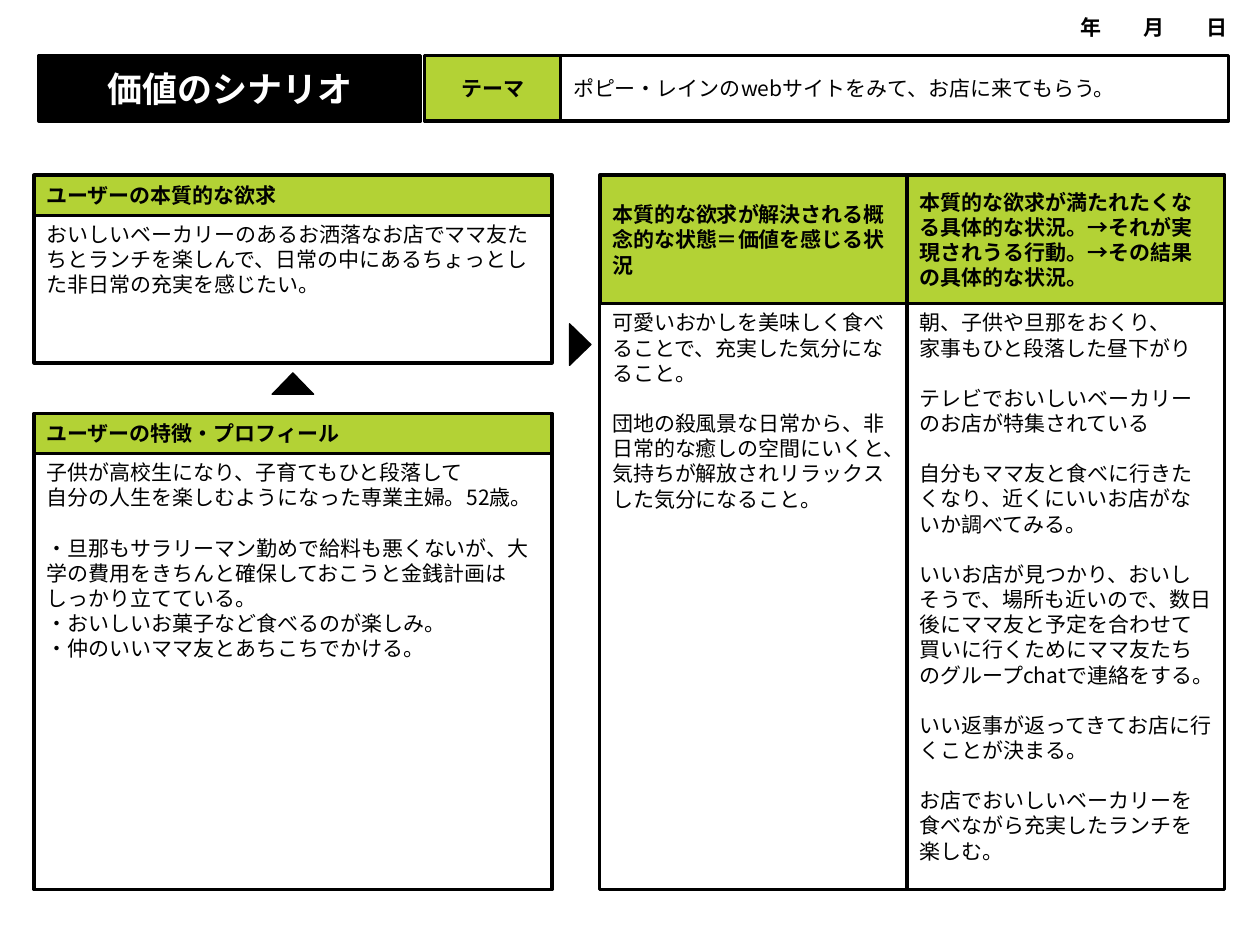
from dataclasses import dataclass

from pptx import Presentation
from pptx.dml.color import RGBColor
from pptx.enum.shapes import MSO_SHAPE as Kind
from pptx.enum.text import MSO_ANCHOR as Anchor, PP_ALIGN as Align
from pptx.util import Emu, Pt

SCALE = 9144
FONT = "Noto Sans CJK JP"
BLACK = RGBColor(0x00, 0x00, 0x00)
WHITE = RGBColor(0xFF, 0xFF, 0xFF)
LIME = RGBColor(0xB3, 0xD2, 0x35)
TOP, END = 139, 706
BAR_TOP, BAR_TALL = 44, 52
LINE_GAP = 14.3


@dataclass(frozen=True)
class Box:
    left: int
    top: int
    wide: int
    tall: int

    def emu(self) -> list[Emu]:
        return [Emu(n * SCALE) for n in (self.left, self.top, self.wide, self.tall)]


@dataclass(frozen=True)
class Panel:
    left: int
    top: int
    head_wide: int
    head_tall: int
    body_wide: int
    end: int
    title: str
    body: str


@dataclass(frozen=True)
class Label:
    left: int
    wide: int
    text: str
    fill: RGBColor
    color: RGBColor = BLACK
    size: int = 12
    bold: bool = True
    align: Align = Align.CENTER


@dataclass(frozen=True)
class Mark:
    box: Box
    turn: int


def style(run, *, size: int, bold: bool, color: RGBColor, track: int = 0) -> None:
    font = run.font
    font.name, font.size, font.bold = FONT, Pt(size), bold
    font.color.rgb = color
    props = run._r.get_or_add_rPr()
    east = props.makeelement(
        "{http://schemas.openxmlformats.org/drawingml/2006/main}ea", {"typeface": FONT}
    )
    props.find("{*}latin").addnext(east)
    if track:
        props.set("spc", str(track * 100))


def write(shape, text: str, *, size: int = 12, bold: bool = False,
          color: RGBColor = BLACK, align: Align = Align.LEFT,
          anchor: Anchor = Anchor.MIDDLE, track: int = 0) -> None:
    frame = shape.text_frame
    frame.word_wrap = True
    frame.vertical_anchor = anchor
    para = frame.paragraphs[0]
    first = True
    for block in text.split("\n\n"):
        for row, line in enumerate(block.split("\n")):
            if not first:
                para = frame.add_paragraph()
            para.alignment = align
            para.space_before = Pt(0 if first or row else LINE_GAP)
            first = False
            parts = [(line[:-1], track), (line[-1], 0)] if track else [(line, 0)]
            for part, space in parts:
                run = para.add_run()
                run.text = part
                style(run, size=size, bold=bold, color=color, track=space)


def draw(slide, box: Box, fill: RGBColor, kind: Kind = Kind.RECTANGLE, edge: float = 2):
    shape = slide.shapes.add_shape(kind, *box.emu())
    shape.shadow.inherit = False
    shape.fill.solid()
    shape.fill.fore_color.rgb = fill
    shape.line.color.rgb = BLACK
    shape.line.width = Pt(edge)
    return shape


def add_panel(slide, panel: Panel) -> None:
    low = panel.top + panel.head_tall
    body = draw(slide, Box(panel.left, low, panel.body_wide, panel.end - low), WHITE)
    write(body, panel.body, anchor=Anchor.TOP)
    head = draw(slide, Box(panel.left, panel.top, panel.head_wide, panel.head_tall), LIME)
    write(head, panel.title, bold=True)


def add_label(slide, label: Label) -> None:
    shape = draw(slide, Box(label.left, BAR_TOP, label.wide, BAR_TALL), label.fill)
    write(shape, label.text, size=label.size, bold=label.bold,
          color=label.color, align=label.align)


def add_mark(slide, mark: Mark) -> None:
    shape = draw(slide, mark.box, BLACK, Kind.ISOSCELES_TRIANGLE, 0.75)
    shape.rotation = mark.turn


LABELS = [
    Label(31, 303, "価値のシナリオ", BLACK, WHITE, 20),
    Label(445, 530, "ポピー・レインのwebサイトをみて、お店に来てもらう。", WHITE,
          bold=False, align=Align.LEFT),
    Label(337, 108, "テーマ", LIME),
]

PANELS = [
    Panel(27, TOP, 411, 32, 411, 288, "ユーザーの本質的な欲求",
          "おいしいベーカリーのあるお洒落なお店でママ友たちとランチを楽しんで、"
          "日常の中にあるちょっとした非日常の充実を感じたい。"),
    Panel(476, TOP, 252, 102, 244, END,
          "本質的な欲求が解決される概念的な状態＝価値を感じる状況",
          "可愛いおかしを美味しく食べることで、充実した気分になること。\n\n"
          "団地の殺風景な日常から、非日常的な癒しの空間にいくと、"
          "気持ちが解放されリラックスした気分になること。"),
    Panel(720, TOP, 252, 102, 252, END,
          "本質的な欲求が満たれたくなる具体的な状況。→それが実現されうる行動。"
          "→その結果の具体的な状況。",
          "朝、子供や旦那をおくり、\n家事もひと段落した昼下がり\n\n"
          "テレビでおいしいベーカリーのお店が特集されている\n\n"
          "自分もママ友と食べに行きたくなり、近くにいいお店がないか調べてみる。\n\n"
          "いいお店が見つかり、おいしそうで、場所も近いので、数日後にママ友と"
          "予定を合わせて買いに行くためにママ友たちのグループchatで連絡をする。\n\n"
          "いい返事が返ってきてお店に行くことが決まる。\n\n"
          "お店でおいしいベーカリーを食べながら充実したランチを楽しむ。"),
    Panel(27, 328, 411, 32, 411, END, "ユーザーの特徴・プロフィール",
          "子供が高校生になり、子育てもひと段落して\n"
          "自分の人生を楽しむようになった専業主婦。52歳。\n\n"
          "・旦那もサラリーマン勤めで給料も悪くないが、大学の費用をきちんと"
          "確保しておこうと金銭計画はしっかり立てている。\n"
          "・おいしいお菓子など食べるのが楽しみ。\n"
          "・仲のいいママ友とあちこちでかける。"),
]

MARKS = [Mark(Box(444, 265, 33, 17), 90), Mark(Box(216, 296, 33, 17), 0)]


def main() -> None:
    deck = Presentation()
    deck.slide_width, deck.slide_height = Emu(1000 * SCALE), Emu(750 * SCALE)
    slide = deck.slides.add_slide(deck.slide_layouts[6])
    for label in LABELS:
        add_label(slide, label)
    for panel in PANELS:
        add_panel(slide, panel)
    for mark in MARKS:
        add_mark(slide, mark)
    date = slide.shapes.add_textbox(*Box(815, 8, 169, 27).emu())
    write(date, "年月日", bold=True, align=Align.RIGHT, track=24)
    deck.save("out.pptx")


if __name__ == "__main__":
    main()
